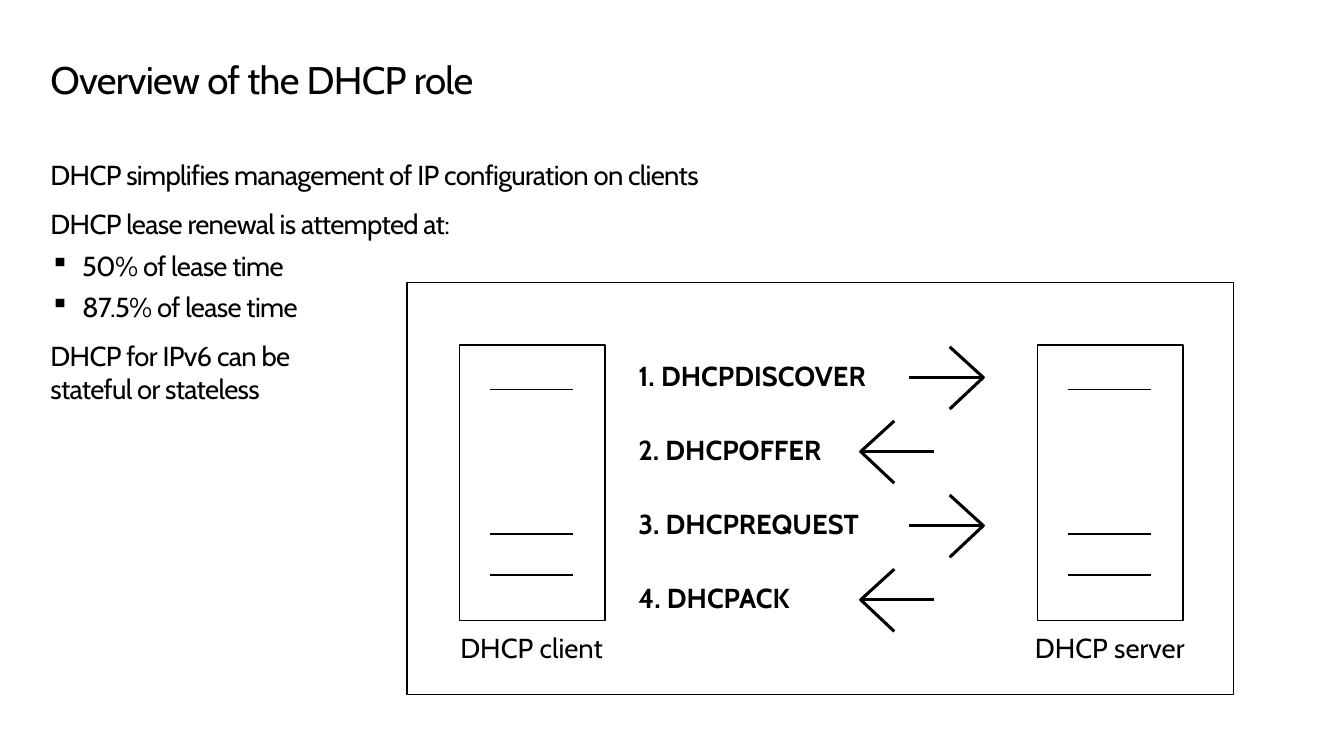
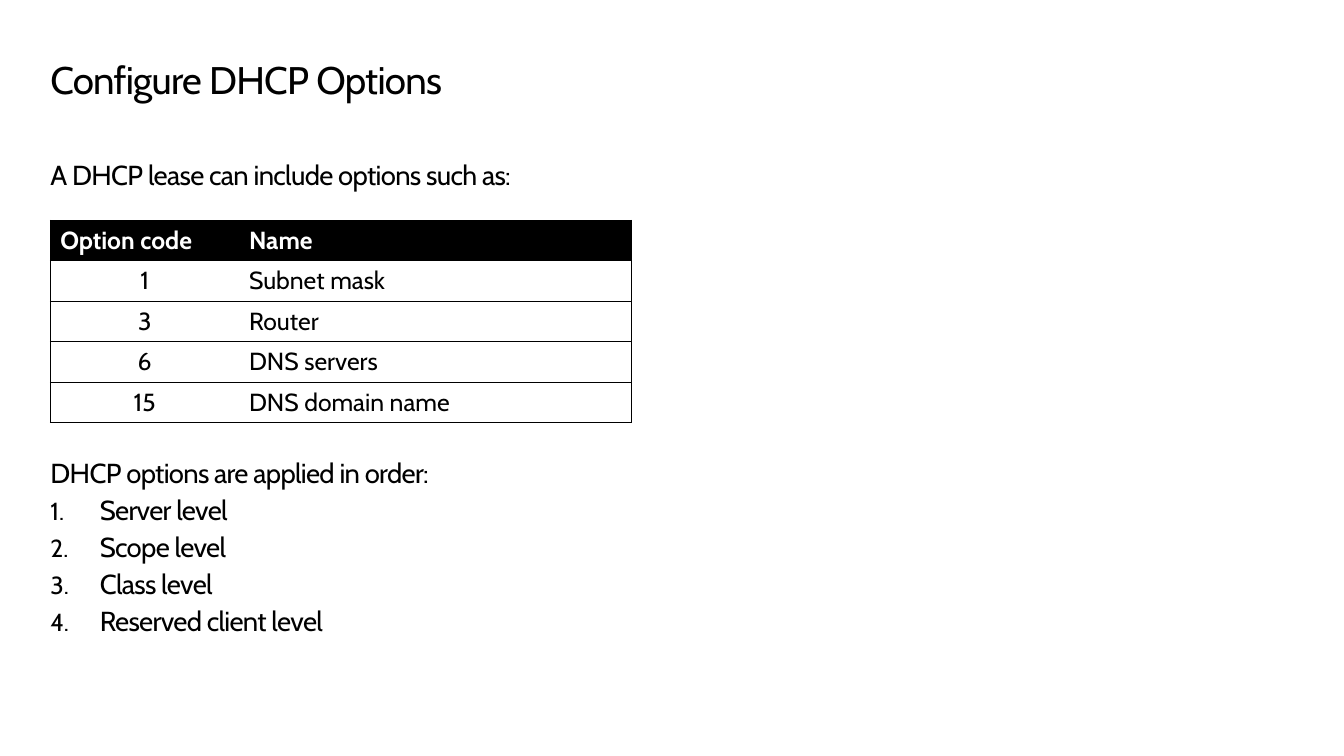
from lxml import etree
from pptx import Presentation
from pptx.dml.color import RGBColor
from pptx.enum.shapes import MSO_SHAPE
from pptx.enum.text import MSO_ANCHOR, MSO_AUTO_SIZE, PP_ALIGN
from pptx.oxml.ns import qn
from pptx.util import Inches, Pt

LEFT, CENTER = PP_ALIGN.LEFT, PP_ALIGN.CENTER
TOP = MSO_ANCHOR.TOP
NO_FIT = MSO_AUTO_SIZE.NONE
RECT = MSO_SHAPE.RECTANGLE

COLORS = {"ink": "000000", "paper": "FFFFFF"}
FONT = "Cabin"
MARGIN = 0.51
TIGHT = -50
INSET = (0, 0, 0.1, 0.05)
LABEL_INSET = (0.2, 0.16, 0.2, 0.16)

# Paragraph kinds: space before, hanging indent, bullet tag, bullet size, attributes
KINDS = {
    "plain": (12, 0, None, 0, {}),
    "dot": (6, 0.32, "a:buChar", 95, {"char": "▪"}),
    "step": (3, 0.5, "a:buAutoNum", 90, {"type": "arabicPeriod"}),
}

ROLE_TITLE = "Overview of the DHCP role"
ROLE_TEXT = [
    ("plain", "DHCP simplifies management of IP configuration on clients"),
    ("plain", "DHCP lease renewal is attempted at:"),
    ("dot", "50% of lease time"),
    ("dot", "87.5% of lease time"),
    ("plain", "DHCP for IPv6 can be\nstateful or stateless"),
]
HOSTS = [("DHCP client", 4.65), ("DHCP server", 10.5)]
MESSAGES = ["1. DHCPDISCOVER", "2. DHCPOFFER", "3. DHCPREQUEST", "4. DHCPACK"]

OPTION_TITLE = "Configure DHCP Options"
OPTION_TEXT = [("plain", "A DHCP lease can include options such as:")]
OPTIONS = [
    ("Option code", "Name"),
    ("1", "Subnet mask"),
    ("3", "Router"),
    ("6", "DNS servers"),
    ("15", "DNS domain name"),
]
ORDER_TEXT = [
    ("plain", "DHCP options are applied in order:"),
    ("step", "Server level"),
    ("step", "Scope level"),
    ("step", "Class level"),
    ("step", "Reserved client level"),
]


def color(name):
    return RGBColor.from_string(COLORS[name])


def box(left, top, width, height):
    return [Inches(v) for v in (left, top, width, height)]


def add_run(para, text, size, bold=False, ink="ink", space=0):
    run = para.add_run()
    run.text = text
    font = run.font
    font.name, font.size, font.bold = FONT, Pt(size), bold
    font.color.rgb = color(ink)
    if space:
        run._r.get_or_add_rPr().set("spc", str(space))


def set_frame(frame, inset):
    frame.word_wrap = True
    frame.auto_size = NO_FIT
    frame.vertical_anchor = TOP
    (frame.margin_left, frame.margin_top,
     frame.margin_right, frame.margin_bottom) = [Inches(v) for v in inset]


def add_bullet(para, indent, tag, size, attrs):
    props = para._p.get_or_add_pPr()
    props.set("marL", str(Inches(indent)))
    props.set("indent", str(-Inches(indent)))
    etree.SubElement(props, qn("a:buSzPct"), val=str(size * 1000))
    etree.SubElement(props, qn(tag), attrs)


def add_slide(deck, title):
    slide = deck.slides.add_slide(deck.slide_layouts[5])
    shape = slide.shapes.title
    shape.left, shape.top, shape.width, shape.height = box(MARGIN, 0.62, 12.61, 0.45)
    set_frame(shape.text_frame, (0, 0, 0.1, 0))
    para = shape.text_frame.paragraphs[0]
    para.alignment, para.line_spacing = LEFT, 0.9
    add_run(para, title, 28, space=TIGHT)
    return slide.shapes


def add_body(shapes, items, top, height):
    frame = shapes.add_textbox(*box(MARGIN, top, 12.62, height)).text_frame
    set_frame(frame, INSET)
    for i, (kind, text) in enumerate(items):
        para = frame.add_paragraph() if i else frame.paragraphs[0]
        before, indent, tag, size, attrs = KINDS[kind]
        if tag:
            add_bullet(para, indent, tag, size, attrs)
        if i:
            para.space_before = Pt(before)
        for j, line in enumerate(text.split("\n")):
            if j:
                para.add_line_break()
            add_run(para, line, 20, space=TIGHT)


def add_label(shapes, text, left, top, width, align=LEFT, bold=False):
    frame = shapes.add_textbox(*box(left, top, width, 0.63)).text_frame
    set_frame(frame, LABEL_INSET)
    para = frame.paragraphs[0]
    para.alignment, para.line_spacing = align, 0.9
    add_run(para, text, 20, bold)


def style(shape, weight, fill=None):
    shape.shadow.inherit = False
    if fill:
        shape.fill.solid()
        shape.fill.fore_color.rgb = color(fill)
    else:
        shape.fill.background()
    shape.line.color.rgb = color("ink")
    shape.line.width = Pt(weight)


def draw(shapes, strokes, weight, fill=None):
    """Draw several open strokes, each a list of points, as one outline."""
    strokes = [[(Inches(x), Inches(y)) for x, y in s] for s in strokes]
    pen = shapes.build_freeform(*strokes[0][0], scale=1.0)
    for i, (start, *rest) in enumerate(strokes):
        if i:
            pen.move_to(*start)
        pen.add_line_segments(rest, close=False)
    style(pen.convert_to_shape(), weight, fill)


def add_host(shapes, name, left):
    top, width, height = 3.49, 1.47, 2.79
    right, base = left + width, top + height
    case = [(left, top), (right, top), (right, base), (left, base), (left, top)]
    slots = [[(left + 0.31, top + y), (right - 0.32, top + y)]
             for y in (0.45, 1.91, 2.33)]
    draw(shapes, [case] + slots, 1.25, "paper")
    add_label(shapes, name, left - 0.34, 6.26, 2.14, CENTER)


def add_arrow(shapes, tail, tip, top):
    mid = top + 0.31
    barb = tip - 0.34 if tip > tail else tip + 0.34
    head = [(barb, top), (tip, mid), (barb, top + 0.63)]
    draw(shapes, [head, [(tip, mid), (tail, mid)]], 2.25)


def set_edges(cell, sides):
    """Rule the named sides of a cell and clear the others."""
    props = cell._tc.get_or_add_tcPr()
    for i, side in enumerate("LRTB"):
        line = etree.Element(qn("a:ln" + side), w=str(Pt(0.75)))
        if side in sides:
            fill = etree.SubElement(line, qn("a:solidFill"))
            etree.SubElement(fill, qn("a:srgbClr"), val=COLORS["ink"])
        else:
            etree.SubElement(line, qn("a:noFill"))
        props.insert(i, line)


def add_options(shapes):
    widths, tall = (1.91, 3.97), 0.41
    grid = shapes.add_table(len(OPTIONS), len(widths), *box(
        MARGIN, 2.23, sum(widths), tall * len(OPTIONS))).table
    for col, width in zip(grid.columns, widths):
        col.width = Inches(width)
    for r, row in enumerate(OPTIONS):
        grid.rows[r].height = Inches(tall)
        head = r == 0
        for c, text in enumerate(row):
            cell = grid.cell(r, c)
            cell.fill.solid()
            cell.fill.fore_color.rgb = color("ink" if head else "paper")
            set_edges(cell, "RTB" if c else "LTB")
            para = cell.text_frame.paragraphs[0]
            para.alignment = LEFT if head or c else CENTER
            add_run(para, text, 18, head, "paper" if head else "ink")


def build_role(deck):
    shapes = add_slide(deck, ROLE_TITLE)
    add_body(shapes, ROLE_TEXT, 1.6, 5.56)
    style(shapes.add_shape(RECT, *box(4.12, 2.86, 8.36, 4.17)), 1)
    for name, left in HOSTS:
        add_host(shapes, name, left)
    for i, text in enumerate(MESSAGES):
        top = 3.51 + 0.75 * i
        add_label(shapes, text, 6.26, top, 2.94, bold=True)
        tail, tip = (9.45, 8.71) if i % 2 else (9.2, 9.95)
        add_arrow(shapes, tail, tip, top)


def build_options(deck):
    shapes = add_slide(deck, OPTION_TITLE)
    add_body(shapes, OPTION_TEXT, 1.6, 0.45)
    add_options(shapes)
    add_body(shapes, ORDER_TEXT, 4.61, 2.55)


def main():
    deck = Presentation()
    deck.slide_width, deck.slide_height = Inches(13.6), Inches(7.65)
    build_role(deck)
    build_options(deck)
    deck.save("out.pptx")


if __name__ == "__main__":
    main()
